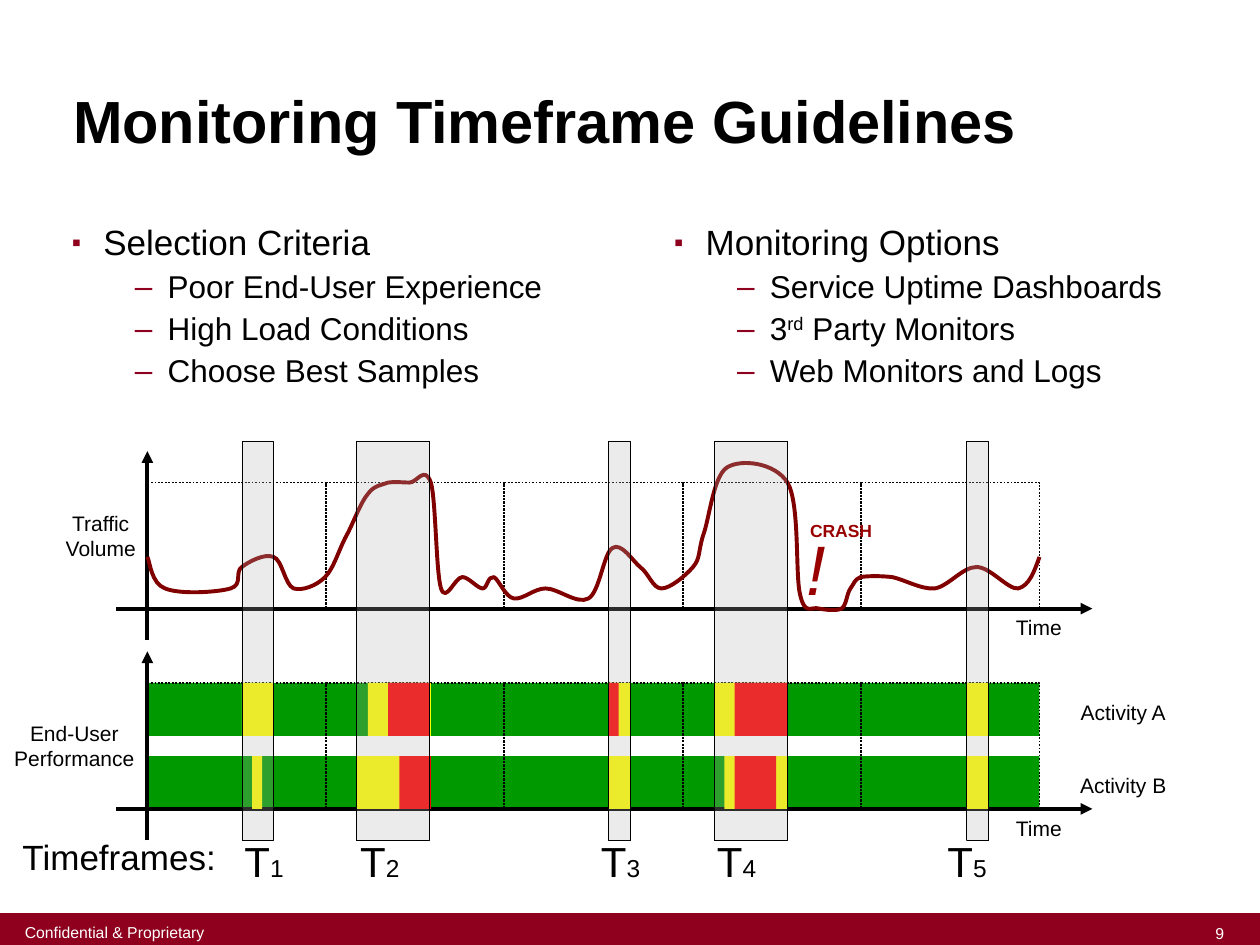
from lxml.etree import SubElement
from pptx import Presentation
from pptx.dml.color import RGBColor
from pptx.enum.dml import MSO_LINE
from pptx.enum.shapes import MSO_CONNECTOR, MSO_SHAPE
from pptx.enum.text import MSO_ANCHOR, MSO_AUTO_SIZE, PP_ALIGN
from pptx.oxml.ns import qn
from pptx.util import Inches, Pt

BLACK, WHITE, MAROON, CRASH = "000000", "FFFFFF", "8E001D", "990000"
GREEN, YELLOW, RED, GRAY = "009900", "FFFF00", "FF0000", "B2B2B2"
LEFT, WIDTH, FRAMES = 1.17, 7.08, 5
ROW_A, ROW_B, ROW_H = 5.42, 6, 0.42

TIMEFRAMES = [
    ("1", 1.92, 0.25, 1.84),
    ("2", 2.83, 0.58, 2.76),
    ("3", 4.83, 0.17, 4.67),
    ("4", 5.67, 0.58, 5.59),
    ("5", 7.67, 0.17, 7.42),
]

SEGMENTS = [
    (ROW_A, YELLOW, [(1.92, 0.25), (2.92, 0.5), (4.83, 0.17), (5.67, 0.58), (7.67, 0.17)]),
    (ROW_B, YELLOW, [(2, 0.08), (2.83, 0.58), (4.83, 0.17), (5.75, 0.5), (7.67, 0.17)]),
    (ROW_A, RED, [(3.08, 0.33), (4.83, 0.08), (5.83, 0.42)]),
    (ROW_B, RED, [(3.17, 0.25), (5.83, 0.33)]),
]

TRAFFIC_START = (1.17, 4.42)
TRAFFIC_CURVES = [
    (1.19, 4.46, 1.2, 4.63, 1.31, 4.67),
    (1.43, 4.72, 1.73, 4.7, 1.83, 4.67),
    (1.93, 4.64, 1.86, 4.54, 1.92, 4.5),
    (1.97, 4.46, 2.1, 4.39, 2.17, 4.42),
    (2.24, 4.44, 2.26, 4.64, 2.33, 4.67),
    (2.4, 4.69, 2.51, 4.65, 2.58, 4.58),
    (2.65, 4.51, 2.69, 4.36, 2.75, 4.25),
    (2.81, 4.14, 2.86, 3.99, 2.92, 3.92),
    (2.97, 3.85, 3.03, 3.85, 3.08, 3.83),
    (3.14, 3.82, 3.19, 3.83, 3.25, 3.83),
    (3.31, 3.83, 3.37, 3.69, 3.42, 3.83),
    (3.46, 3.97, 3.46, 4.54, 3.5, 4.67),
    (3.54, 4.79, 3.61, 4.58, 3.67, 4.58),
    (3.72, 4.58, 3.79, 4.67, 3.83, 4.67),
    (3.87, 4.67, 3.87, 4.57, 3.92, 4.58),
    (3.96, 4.6, 4.01, 4.74, 4.08, 4.75),
    (4.15, 4.76, 4.24, 4.67, 4.33, 4.67),
    (4.43, 4.67, 4.58, 4.8, 4.67, 4.75),
    (4.76, 4.7, 4.79, 4.39, 4.86, 4.35),
    (4.93, 4.3, 5.02, 4.45, 5.08, 4.5),
    (5.15, 4.55, 5.18, 4.67, 5.25, 4.67),
    (5.32, 4.67, 5.44, 4.57, 5.5, 4.5),
    (5.56, 4.43, 5.54, 4.38, 5.58, 4.25),
    (5.63, 4.12, 5.66, 3.78, 5.77, 3.71),
    (5.88, 3.64, 6.15, 3.67, 6.25, 3.83),
    (6.35, 4, 6.31, 4.56, 6.35, 4.72),
    (6.39, 4.89, 6.44, 4.81, 6.5, 4.83),
    (6.55, 4.84, 6.64, 4.85, 6.68, 4.83),
    (6.72, 4.8, 6.72, 4.71, 6.75, 4.67),
    (6.78, 4.63, 6.78, 4.6, 6.83, 4.58),
    (6.89, 4.57, 6.99, 4.57, 7.08, 4.58),
    (7.18, 4.6, 7.31, 4.68, 7.42, 4.67),
    (7.53, 4.65, 7.64, 4.5, 7.75, 4.5),
    (7.86, 4.5, 8, 4.68, 8.08, 4.67),
    (8.17, 4.65, 8.21, 4.53, 8.25, 4.42),
]


def rgb(value):
    return RGBColor.from_string(value)


def add_run(p, text, size, color=BLACK, bold=False, italic=False):
    r = p.add_run()
    r.text = text
    r.font.name = "Arial"
    r.font.size = Pt(size)
    r.font.color.rgb = rgb(color)
    r.font.bold = bold
    r.font.italic = italic
    return r


def add_label(s, x, y, w, h, lines, align=PP_ALIGN.CENTER, wrap=False, **style):
    tf = s.shapes.add_textbox(Inches(x), Inches(y), Inches(w), Inches(h)).text_frame
    tf.word_wrap = wrap
    tf.auto_size = MSO_AUTO_SIZE.SHAPE_TO_FIT_TEXT
    for i, runs in enumerate(lines):
        p = tf.add_paragraph() if i else tf.paragraphs[0]
        p.alignment = align
        for text, size in runs:
            add_run(p, text, size, **style)
    return tf


def add_rect(s, x, y, w, h, fill=None, line=None, width=1, dash=MSO_LINE.ROUND_DOT, alpha=None):
    sp = s.shapes.add_shape(MSO_SHAPE.RECTANGLE, Inches(x), Inches(y), Inches(w), Inches(h))
    sp.shadow.inherit = False
    if fill:
        sp.fill.solid()
        sp.fill.fore_color.rgb = rgb(fill)
    else:
        sp.fill.background()
    if alpha:
        clr = sp.fill._xPr.find(".//" + qn("a:srgbClr"))
        SubElement(clr, qn("a:alpha")).set("val", str(alpha * 1000))
    if line:
        sp.line.color.rgb = rgb(line)
        sp.line.width = Pt(width)
        sp.line.dash_style = dash
    else:
        sp.line.fill.background()


def add_axis(s, x1, y1, x2, y2):
    sp = s.shapes.add_connector(MSO_CONNECTOR.STRAIGHT, Inches(x1), Inches(y1), Inches(x2), Inches(y2))
    sp.line.color.rgb = rgb(BLACK)
    sp.line.width = Pt(2.25)
    SubElement(sp.line._get_or_add_ln(), qn("a:tailEnd")).set("type", "triangle")
    SubElement(sp._element.spPr, qn("a:effectLst"))


def add_axes(s, base):
    add_axis(s, 0.92, base, 8.67, base)
    for i in range(FRAMES):
        add_rect(s, LEFT + i * WIDTH / FRAMES, base - 1, WIDTH / FRAMES, 1, line=BLACK)
    add_axis(s, LEFT, base + 0.25, LEFT, base - 1.25)
    add_label(s, 7.96, base, 0.57, 0.3, [[("Time", 12)]])


def add_curve(s, start, curves, color):
    fb = s.shapes.build_freeform(Inches(start[0]), Inches(start[1]))
    points = [(c[i], c[i + 1]) for c in curves for i in (0, 2, 4)]
    fb.add_line_segments([(Inches(x), Inches(y)) for x, y in points], close=False)
    sp = fb.convert_to_shape()
    sp.shadow.inherit = False
    sp.fill.background()
    sp.line.color.rgb = rgb(color)
    sp.line.width = Pt(2.25)
    outline = sp._element.find(".//" + qn("a:path"))
    steps = outline.findall(qn("a:lnTo"))
    for i in range(0, len(steps), 3):
        bezier = SubElement(outline, qn("a:cubicBezTo"))
        for step in steps[i:i + 3]:
            bezier.append(step[0])
            outline.remove(step)


def place(sp, x, y, w, h):
    sp.left, sp.top, sp.width, sp.height = Inches(x), Inches(y), Inches(w), Inches(h)
    tf = sp.text_frame
    tf.auto_size = MSO_AUTO_SIZE.NONE
    tf.word_wrap = True
    return tf


def set_bullet(p, char, indent, hanging, percent):
    pPr = p._p.get_or_add_pPr()
    pPr.set("marL", str(Inches(indent)))
    pPr.set("indent", str(-Inches(hanging)))
    SubElement(SubElement(pPr, qn("a:buClr")), qn("a:srgbClr")).set("val", MAROON)
    SubElement(pPr, qn("a:buSzPct")).set("val", str(percent * 1000))
    SubElement(pPr, qn("a:buFont")).set("typeface", "Arial")
    SubElement(pPr, qn("a:buChar")).set("char", char)


def fill_list(sp, x, heading, items):
    tf = place(sp, x, 1.74, 4.6, 1.4)
    p = tf.paragraphs[0]
    set_bullet(p, "▪", 0.25, 0.25, 75)
    p.line_spacing, p.space_before = 0.9, Pt(0)
    add_run(p, heading, 20)
    for item in items:
        p = tf.add_paragraph()
        p.level = 1
        set_bullet(p, "–", 0.76, 0.26, 100)
        p.line_spacing, p.space_before = 0.9, Pt(4.5)
        for i, text in enumerate(item):
            r = add_run(p, text, 18)
            if i == 1:
                r._r.get_or_add_rPr().set("baseline", "30000")


def main():
    prs = Presentation()
    prs.slide_width, prs.slide_height = Inches(10), Inches(7.5)
    s = prs.slides.add_slide(prs.slide_layouts[3])
    title, left, right = s.placeholders
    tf = place(title, 0.48, 0.25, 9.38, 1.04)
    tf.vertical_anchor = MSO_ANCHOR.BOTTOM
    p = tf.paragraphs[0]
    p.alignment, p.line_spacing = PP_ALIGN.LEFT, 0.9
    add_run(p, "Monitoring Timeframe Guidelines", 34, bold=True)
    fill_list(left, 0.47, "Selection Criteria",
              [["Poor End-User Experience"], ["High Load Conditions"], ["Choose Best Samples"]])
    fill_list(right, 5.25, "Monitoring Options",
              [["Service Uptime Dashboards"], ["3", "rd", " Party Monitors"], ["Web Monitors and Logs"]])

    add_rect(s, 0, 7.25, 10, 0.25, MAROON, MAROON, dash=MSO_LINE.SOLID)
    add_label(s, 9.44, 7.28, 0.48, 0.25, [[("9", 9)]], wrap=True, color=WHITE)
    tf = add_label(s, 0.06, 7.27, 1.7, 0.25, [[("Confidential & Proprietary", 9)]], color=WHITE)
    tf.vertical_anchor = MSO_ANCHOR.MIDDLE

    for name, y in (("Activity A", ROW_A), ("Activity B", ROW_B)):
        add_rect(s, LEFT, y, WIDTH, ROW_H, GREEN)
        add_label(s, 8.25, y + 0.08, 1.33, 0.3, [[(name, 12)]], wrap=True)
    add_axes(s, 4.83)
    add_label(s, 0.42, 4, 0.76, 0.5, [[("Traffic", 12)], [("Volume", 12)]])
    add_curve(s, TRAFFIC_START, TRAFFIC_CURVES, "800000")
    add_label(s, 6.3, 4.12, 0.35, 0.76, [[("!", 40)]], color=CRASH, italic=True)
    add_label(s, 6.33, 4.08, 0.69, 0.26, [[("CRASH", 10)]], color=CRASH, bold=True)
    add_axes(s, 6.42)
    add_label(s, 0, 5.67, 1.18, 0.5, [[("End-User", 12)], [("Performance", 12)]])
    for y, color, spans in SEGMENTS:
        for x, w in spans:
            add_rect(s, x, y, w, ROW_H, color)

    add_label(s, 0.08, 6.58, 1.74, 0.43, [[("Timeframes:", 20)]], align=PP_ALIGN.LEFT)
    for number, x, w, label_x in TIMEFRAMES:
        add_rect(s, x, 3.5, w, 3.17, GRAY, BLACK, 0.25, alpha=25)
        add_label(s, label_x, 6.58, 0.51, 0.5, [[("T", 24), (number, 14)]])
    prs.save("out.pptx")


if __name__ == "__main__":
    main()
